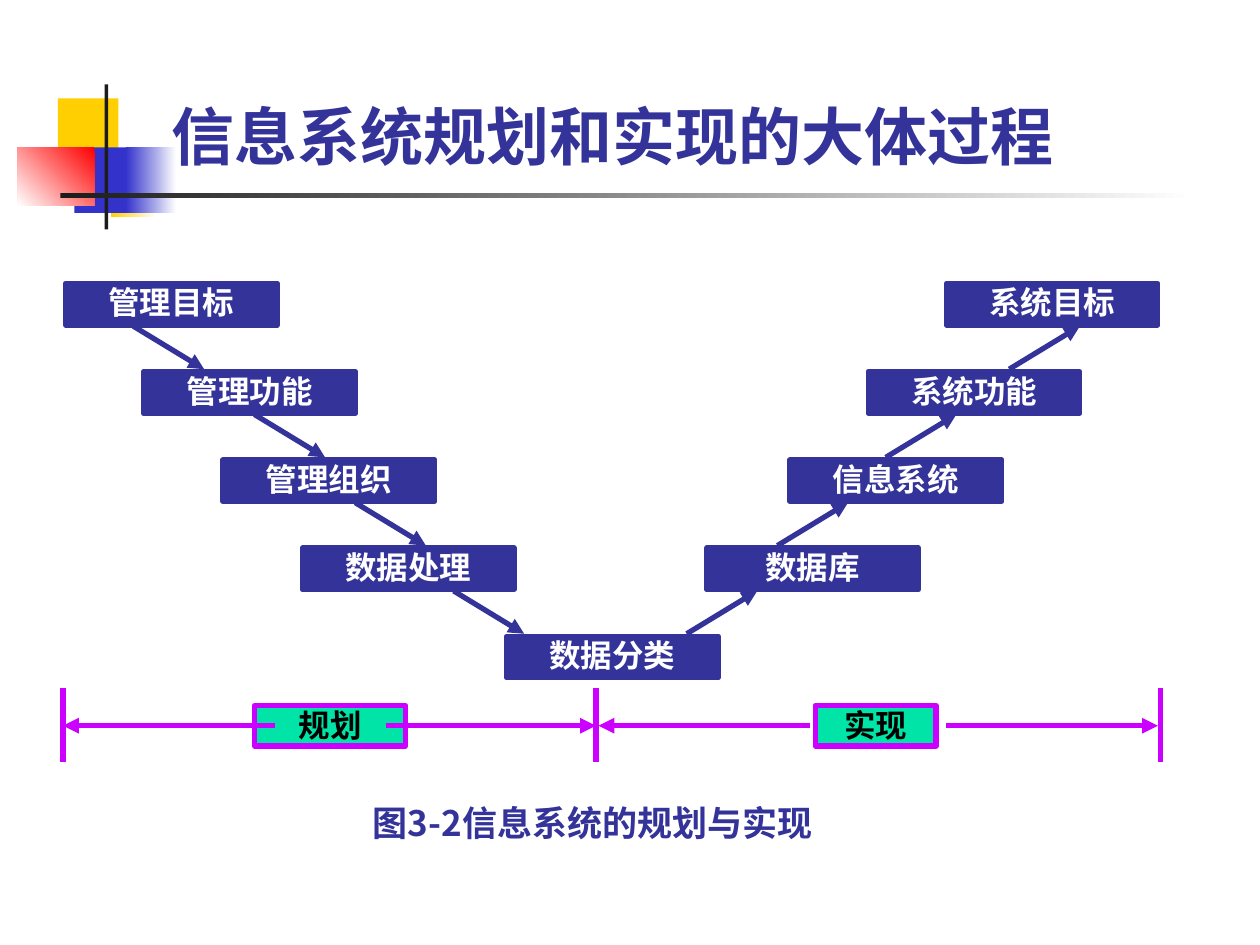
from dataclasses import dataclass

from lxml.etree import SubElement
from pptx import Presentation
from pptx.dml.color import RGBColor
from pptx.enum.shapes import MSO_CONNECTOR, MSO_SHAPE
from pptx.enum.text import MSO_ANCHOR, PP_ALIGN
from pptx.oxml.ns import qn
from pptx.util import Inches, Pt


@dataclass(frozen=True)
class Theme:
    """Colours, type sizes and font of the slide."""
    navy: str = "333399"
    white: str = "FFFFFF"
    black: str = "000000"
    magenta: str = "CC00FF"
    mint: str = "00E4A8"
    yellow: str = "FFCF01"
    blue: str = "3333CC"
    red: str = "FF0000"
    ink: str = "1C1C1C"
    font: str = "Noto Sans CJK SC"
    title_size: int = 36
    caption_size: int = 20
    label_size: int = 18
    line_width: int = 3


class SlideBuilder:
    """Draws styled elements on the current slide."""

    def __init__(self, slide, theme):
        self.slide = slide
        self.theme = theme

    def set_text(self, shape, text, size, color, align, anchor=MSO_ANCHOR.TOP, margins=(0, 0)):
        """Fill a shape with one bold paragraph."""
        frame = shape.text_frame
        side, edge = (Inches(margin) for margin in margins)
        frame_format = {
            "word_wrap": True, "vertical_anchor": anchor,
            "margin_left": side, "margin_right": side,
            "margin_top": edge, "margin_bottom": edge,
        }
        for name, value in frame_format.items():
            setattr(frame, name, value)
        paragraph = frame.paragraphs[0]
        paragraph.alignment = align
        run = paragraph.add_run()
        run.text = text
        for name, value in {"size": Pt(size), "bold": True, "name": self.theme.font}.items():
            setattr(run.font, name, value)
        run.font.color.rgb = RGBColor.from_string(color)
        SubElement(run.font._element, qn("a:ea"), typeface=self.theme.font)

    def rectangle(self, left, top, width, height, fill, line=None):
        """Add a solid rectangle, outlined if a line colour is given."""
        shape = self.slide.shapes.add_shape(
            MSO_SHAPE.RECTANGLE, Inches(left), Inches(top), Inches(width), Inches(height))
        shape.shadow.inherit = False
        shape.fill.solid()
        shape.fill.fore_color.rgb = RGBColor.from_string(fill)
        if line:
            shape.line.color.rgb = RGBColor.from_string(line)
            shape.line.width = Pt(self.theme.line_width)
        else:
            shape.line.fill.background()
        return shape

    def gradient(self, left, top, width, height, color, angle=0):
        """Add a rectangle that fades from a colour to white."""
        shape = self.rectangle(left, top, width, height, color)
        shape.fill.gradient()
        shape.fill.gradient_angle = angle
        for stop, stop_color in zip(shape.fill.gradient_stops, (color, self.theme.white)):
            stop.color.rgb = RGBColor.from_string(stop_color)

    def label(self, left, top, width, height, text, fill, line, color):
        """Add a rectangle with a centred label."""
        shape = self.rectangle(left, top, width, height, fill, line)
        self.set_text(shape, text, self.theme.label_size, color, PP_ALIGN.CENTER)

    def line(self, start, end, color, arrow=False):
        """Add a straight line, with an arrowhead at its end if wanted."""
        connector = self.slide.shapes.add_connector(
            MSO_CONNECTOR.STRAIGHT, *(Inches(value) for value in (*start, *end)))
        connector.line.color.rgb = RGBColor.from_string(color)
        connector.line.width = Pt(self.theme.line_width)
        properties = connector._element.spPr
        if arrow:
            SubElement(properties.find(qn("a:ln")), qn("a:tailEnd"), type="triangle")
        SubElement(properties, qn("a:effectLst"))

    def title(self, left, top, width, height, text):
        """Add the slide title."""
        box = self.slide.shapes.add_textbox(
            Inches(left), Inches(top), Inches(width), Inches(height))
        self.set_text(box, text, self.theme.title_size, self.theme.navy,
                      PP_ALIGN.LEFT, MSO_ANCHOR.BOTTOM, (0.1, 0.05))

    def caption(self, left, top, width, height, text):
        """Add the figure caption."""
        shape = self.rectangle(left, top, width, height, self.theme.white, self.theme.white)
        self.set_text(shape, text, self.theme.caption_size, self.theme.navy, PP_ALIGN.LEFT)


def draw_ornament(builder):
    """Draw the coloured blocks and rules beside the title."""
    theme = builder.theme
    builder.rectangle(0.46, 0.78, 0.48, 0.52, theme.yellow)
    builder.gradient(0.88, 1.2, 0.36, 0.52, theme.yellow)
    builder.rectangle(0.59, 1.17, 0.46, 0.52, theme.blue)
    builder.gradient(1, 1.17, 0.4, 0.52, theme.blue)
    builder.gradient(0.14, 1.17, 0.61, 0.46, theme.red, 225)
    builder.rectangle(0.83, 0.67, 0.03, 1.15, theme.ink)
    builder.gradient(0.48, 1.53, 9, 0.04, theme.ink)


def draw_steps(builder):
    """Draw the descending and ascending steps with their arrows."""
    navy, white = builder.theme.navy, builder.theme.white
    first_top, pitch, run, rise = 2.25, 0.7, 0.56, 0.34
    descending = [(0.52, "管理目标"), (1.14, "管理功能"), (1.77, "管理组织"),
                  (2.4, "数据处理"), (4.02, "数据分类")]
    ascending = [(7.51, "系统目标"), (6.89, "系统功能"), (6.27, "信息系统"), (5.61, "数据库")]
    for steps in (descending, ascending):
        for level, (left, text) in enumerate(steps):
            builder.label(left, first_top + level * pitch, 1.68, 0.33, text, navy, navy, white)
    arrow_starts = zip((1.06, 2.02, 2.82, 3.6), (8.01, 7.03, 6.17, 5.45))
    for level, (down, up) in enumerate(arrow_starts):
        upper = first_top + rise + level * pitch
        lower = upper + rise
        builder.line((down, upper), (down + run, lower), navy, arrow=True)
        builder.line((up, lower), (up + run, upper), navy, arrow=True)


def draw_phases(builder):
    """Draw the two phase spans below the steps."""
    theme = builder.theme
    middle = 5.76
    for x in (0.5, 4.73, 9.21):
        builder.line((x, 5.46), (x, 6.05), theme.magenta)
    for left, width, text in ((2.02, 1.2, "规划"), (6.47, 0.96, "实现")):
        builder.label(left, 5.6, width, 0.32, text, theme.mint, theme.magenta, theme.black)
    for start, end in ((2.18, 0.5), (3.06, 4.73), (6.43, 4.75), (7.51, 9.19)):
        builder.line((start, middle), (end, middle), theme.magenta, arrow=True)


def main():
    """Build and save the slide."""
    presentation = Presentation()
    presentation.slide_width, presentation.slide_height = Inches(10), Inches(7.5)
    slide = presentation.slides.add_slide(presentation.slide_layouts[6])
    builder = SlideBuilder(slide, Theme())
    draw_ornament(builder)
    builder.title(1.26, 0.17, 8.52, 1.25, "信息系统规划和实现的大体过程")
    draw_steps(builder)
    draw_phases(builder)
    builder.caption(2.96, 6.36, 3.6, 0.39, "图3-2信息系统的规划与实现")
    presentation.save("out.pptx")


if __name__ == "__main__":
    main()
